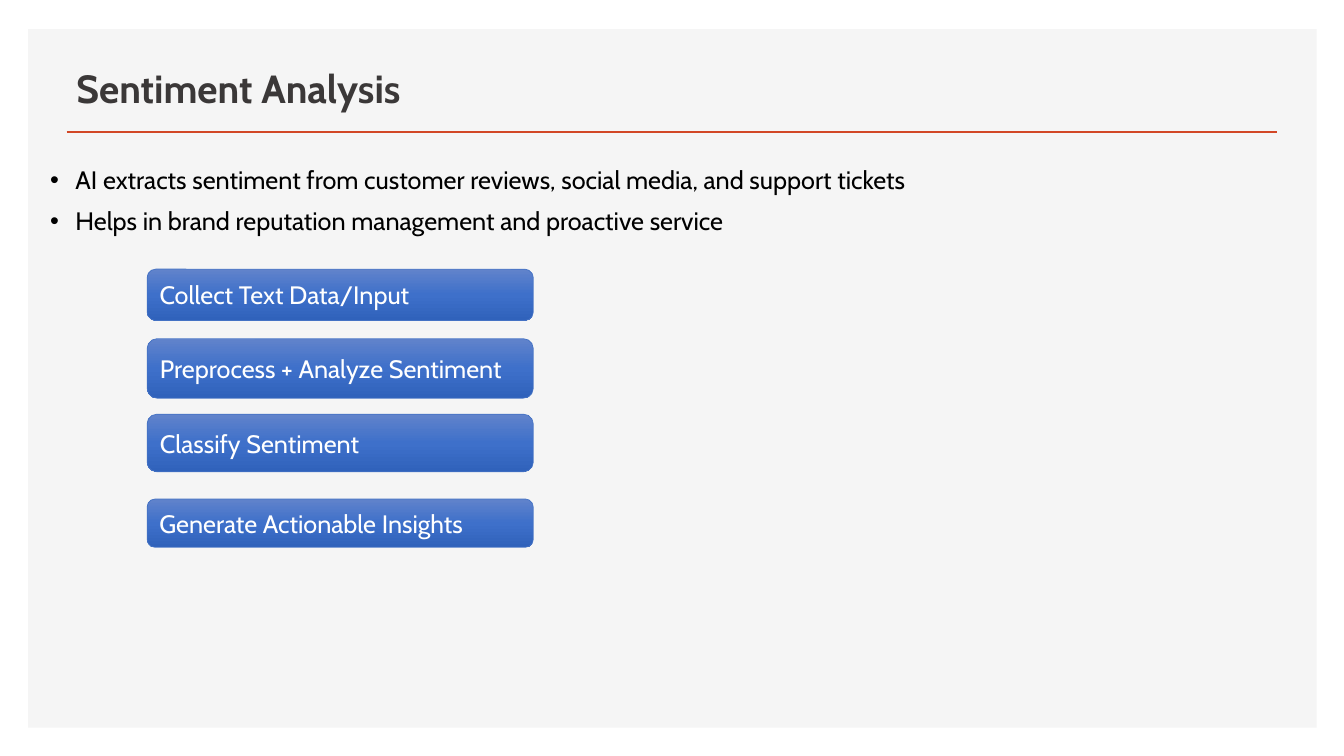
from copy import deepcopy
from dataclasses import dataclass

from lxml import etree
from pptx import Presentation
from pptx.dml.color import RGBColor
from pptx.enum.shapes import MSO_CONNECTOR, MSO_SHAPE
from pptx.enum.text import MSO_ANCHOR, PP_ALIGN
from pptx.oxml.ns import qn
from pptx.util import Inches, Pt

STRAIGHT = MSO_CONNECTOR.STRAIGHT
RECT, ROUND_RECT = MSO_SHAPE.RECTANGLE, MSO_SHAPE.ROUNDED_RECTANGLE
MIDDLE, TOP = MSO_ANCHOR.MIDDLE, MSO_ANCHOR.TOP
LEFT = PP_ALIGN.LEFT


@dataclass(frozen=True)
class Theme:
    """Colours, font and type sizes of the slide."""
    font: str = "Cabin"
    panel: str = "F5F5F5"
    rule: str = "D24726"
    title: str = "3B3838"
    body: str = "000000"
    step_text: str = "FFFFFF"
    step_line: str = "4472C4"
    step_fill: tuple = ((0, "6183CB"), (0.5, "3E70CA"), (1, "3062BB"))
    title_size: int = 28
    body_size: int = 18


THEME = Theme()
BULLETS = (
    "AI extracts sentiment from customer reviews, social media, and support tickets",
    "Helps in brand reputation management and proactive service",
)
STEPS = (
    ("Collect Text Data/Input", 0, 0.51),
    ("Preprocess + Analyze Sentiment", 0.69, 0.59),
    ("Classify Sentiment", 1.44, 0.57),
    ("Generate Actionable Insights", 2.28, 0.48),
)


def rgb(value):
    """Return the colour for a hex string."""
    return RGBColor.from_string(value)


def inches(*values):
    """Convert numbers to lengths."""
    return [Inches(v) for v in values]


def set_all(target, formats):
    """Set each attribute named in formats."""
    for name, value in formats.items():
        setattr(target, name, value)


def write(sp, lines, size, color, anchor, bold=False, **para):
    """Write one left-aligned paragraph per line and return the paragraphs."""
    tf = sp.text_frame
    set_all(tf, {"word_wrap": True, "vertical_anchor": anchor})
    tf.text = "\n".join(lines)
    for p in tf.paragraphs:
        set_all(p, {"alignment": LEFT, **para})
        for r in p.runs:
            set_all(r.font, {"name": THEME.font, "size": Pt(size), "bold": bold})
            r.font.color.rgb = rgb(color)
    return tf.paragraphs


def add_panel(slide, box):
    """Draw the grey background panel."""
    sp = slide.shapes.add_shape(RECT, *inches(*box))
    sp.shadow.inherit = False
    sp.fill.solid()
    sp.fill.fore_color.rgb = rgb(THEME.panel)
    sp.line.fill.background()


def add_title(slide, box, text):
    """Place the title with a rule along the bottom of its box."""
    x, y, w, h = box
    rule = slide.shapes.add_connector(STRAIGHT, *inches(x, y + h, x + w, y + h))
    rule.line.color.rgb = rgb(THEME.rule)
    rule.line.width = Pt(2)
    etree.SubElement(rule._element.spPr, qn("a:effectLst"))
    sp = slide.shapes.add_textbox(*inches(*box))
    write(sp, [text], THEME.title_size, THEME.title, MIDDLE, bold=True, line_spacing=0.9)


def add_bullets(slide, box, lines):
    """Place the bulleted list."""
    sp = slide.shapes.add_textbox(*inches(*box))
    for p in write(sp, lines, THEME.body_size, THEME.body, TOP,
                   line_spacing=0.9, space_before=Pt(10)):
        pPr = p._p.get_or_add_pPr()
        pPr.set("marL", str(Inches(0.25)))
        pPr.set("indent", str(Inches(-0.25)))
        etree.SubElement(pPr, qn("a:buFont"), typeface="Arial")
        etree.SubElement(pPr, qn("a:buChar"), char="•")


def add_step(slide, box, text):
    """Draw one gradient step with its label."""
    sp = slide.shapes.add_shape(ROUND_RECT, *inches(*box))
    sp.shadow.inherit = False
    sp.fill.gradient()
    sp.fill.gradient_angle = 270
    stops = sp._element.spPr.find(".//" + qn("a:gsLst"))
    stops.append(deepcopy(stops[0]))
    for stop, (position, color) in zip(sp.fill.gradient_stops, THEME.step_fill):
        stop.position = position
        stop.color.rgb = rgb(color)
    sp.line.color.rgb = rgb(THEME.step_line)
    sp.line.width = Pt(0.5)
    write(sp, [text], THEME.body_size, THEME.step_text, MIDDLE)


def add_steps(slide, box, steps):
    """Stack the steps at their offsets inside the box."""
    x, y, w, _ = box
    for text, offset, height in steps:
        add_step(slide, (x, y + offset, w, height), text)


def main():
    """Build and save the slide."""
    prs = Presentation()
    prs.slide_width, prs.slide_height = inches(13.33, 7.5)
    slide = prs.slides.add_slide(prs.slide_layouts[6])
    add_panel(slide, (0.28, 0.29, 12.78, 6.93))
    add_title(slide, (0.66, 0.49, 12.01, 0.82), "Sentiment Analysis")
    add_bullets(slide, (0.4, 1.61, 10.9, 5.11), BULLETS)
    add_steps(slide, (1.46, 2.67, 3.83, 2.76), STEPS)
    prs.save("out.pptx")


if __name__ == "__main__":
    main()
